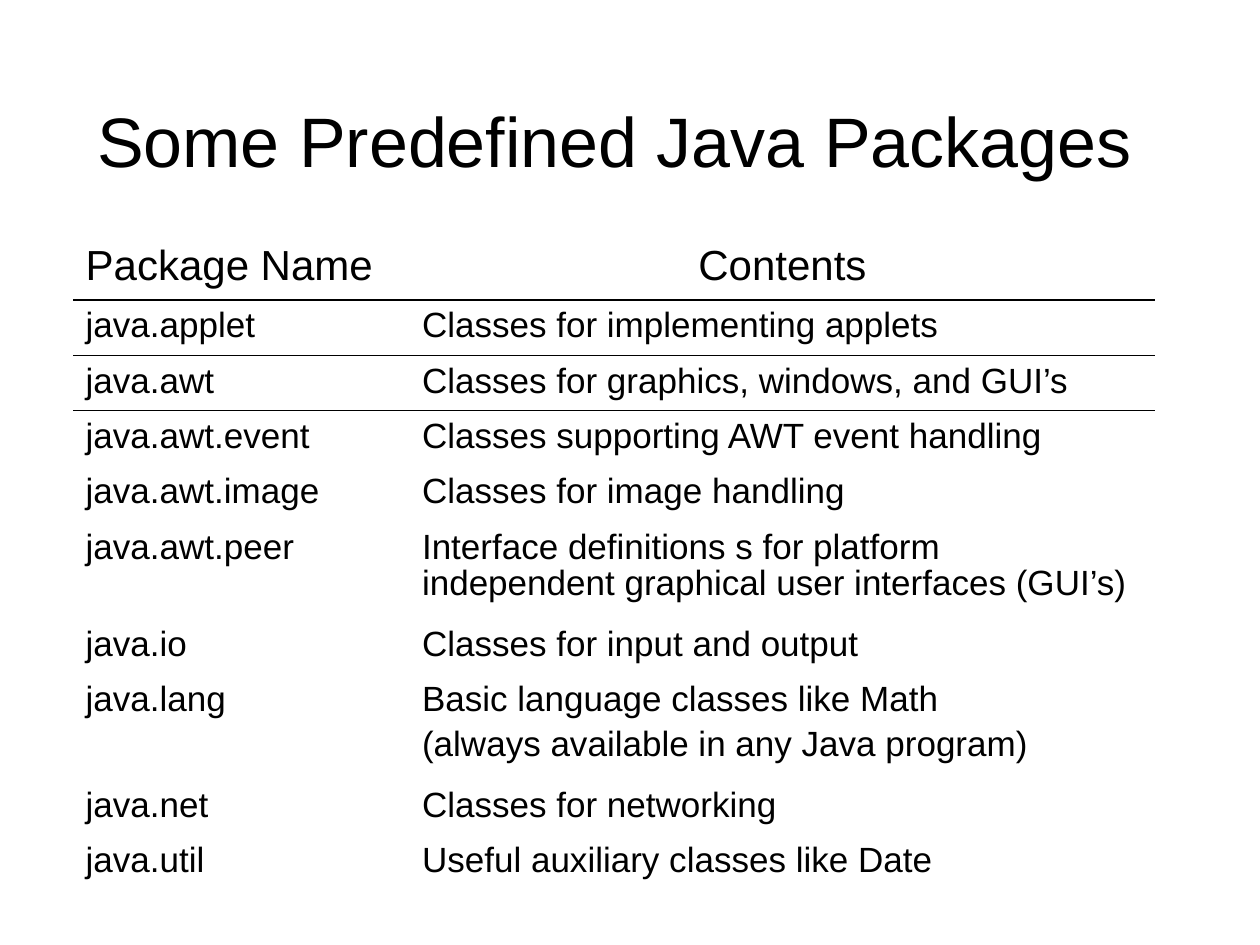
from lxml.etree import SubElement, Element
from pptx import Presentation
from pptx.dml.color import RGBColor
from pptx.enum.text import MSO_ANCHOR, PP_ALIGN
from pptx.oxml.ns import qn
from pptx.util import Inches, Pt

COLORS = {"text": "000000", "rule": "000000"}
FONT = "Arial"
NO_GRID_STYLE = "{2D5ABB26-0587-4C30-8999-92F81FD0307C}"
RULE_WIDTH = 0.91

LEFT, TOP = 0.58, 0.78
COLUMN_WIDTHS = [2.67, 5.92]
TITLE_HEIGHT, HEADER_HEIGHT, ROW_HEIGHT = 1.1, 0.5, 0.44
TALL_ROWS = {"java.awt.peer": 0.77, "java.lang": 0.84}

TITLE = "Some Predefined Java Packages"
HEADERS = ["Package Name", "Contents"]
PACKAGES = [
    ("java.applet", "Classes for implementing applets"),
    ("java.awt", "Classes for graphics, windows, and GUI’s"),
    ("java.awt.event", "Classes supporting AWT event handling"),
    ("java.awt.image", "Classes for image handling"),
    ("java.awt.peer", "Interface definitions s for platform independent "
                      "graphical user interfaces (GUI’s)"),
    ("java.io", "Classes for input and output"),
    ("java.lang", "Basic language classes like Math\n(always available in any Java program)"),
    ("java.net", "Classes for networking"),
    ("java.util", "Useful auxiliary classes like Date"),
]


def apply_format(target, values):
    for name, value in values.items():
        setattr(target, name, value)


def write_cell(cell, text, size, align=PP_ALIGN.LEFT, inset_top=0.07):
    cell.fill.background()
    apply_format(cell, {
        "text": text,
        "margin_left": Inches(0.1),
        "margin_right": Inches(0.1),
        "margin_top": Inches(inset_top),
        "margin_bottom": Inches(0.05),
        "vertical_anchor": MSO_ANCHOR.TOP,
    })
    for index, paragraph in enumerate(cell.text_frame.paragraphs):
        apply_format(paragraph, {
            "alignment": align,
            "line_spacing": 0.93,
            "space_before": Pt(5 if index else 0),
        })
        for run in paragraph.runs:
            apply_format(run.font, {"name": FONT, "size": Pt(size), "bold": False})
            run.font.color.rgb = RGBColor.from_string(COLORS["text"])


def add_border(cell, side):
    line = Element(qn(f"a:{side}"), w=str(Pt(RULE_WIDTH)))
    fill = SubElement(line, qn("a:solidFill"))
    SubElement(fill, qn("a:srgbClr"), val=COLORS["rule"])
    cell._tc.get_or_add_tcPr().insert(0, line)


def rule_below(table, row):
    for column in range(len(COLUMN_WIDTHS)):
        add_border(table.cell(row, column), "lnB")
        add_border(table.cell(row + 1, column), "lnT")


def add_package_table(slide):
    heights = [TITLE_HEIGHT, HEADER_HEIGHT]
    heights += [TALL_ROWS.get(name, ROW_HEIGHT) for name, _ in PACKAGES]
    shape = slide.shapes.add_table(
        len(heights), len(COLUMN_WIDTHS), Inches(LEFT), Inches(TOP),
        Inches(sum(COLUMN_WIDTHS)), Inches(sum(heights)))
    table = shape.table
    apply_format(table, {"first_row": False, "horz_banding": False})
    table._tbl.tblPr.find(qn("a:tableStyleId")).text = NO_GRID_STYLE
    for column, width in zip(table.columns, COLUMN_WIDTHS):
        column.width = Inches(width)
    for row, height in zip(table.rows, heights):
        row.height = Inches(height)
    return table


def fill_table(table):
    table.cell(0, 0).merge(table.cell(0, 1))
    write_cell(table.cell(0, 0), TITLE, 40, PP_ALIGN.CENTER, 0.09)
    for column, align in enumerate([PP_ALIGN.LEFT, PP_ALIGN.CENTER]):
        write_cell(table.cell(1, column), HEADERS[column], 24, align)
    for row, package in enumerate(PACKAGES, start=2):
        for column, text in enumerate(package):
            write_cell(table.cell(row, column), text, 20)
    for row in (2, 1):
        rule_below(table, row)


def main():
    presentation = Presentation()
    apply_format(presentation, {"slide_width": Inches(10), "slide_height": Inches(7.5)})
    slide = presentation.slides.add_slide(presentation.slide_layouts[6])
    fill_table(add_package_table(slide))
    presentation.save("out.pptx")


if __name__ == "__main__":
    main()
